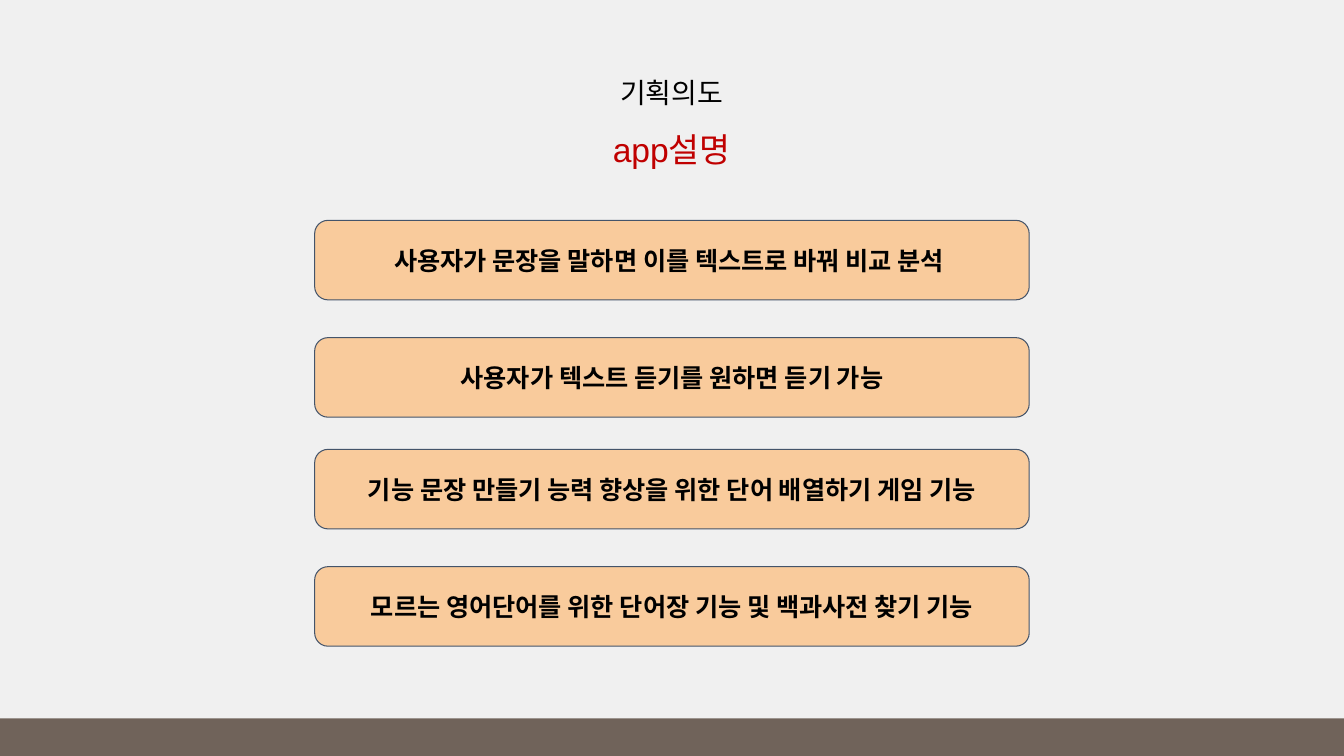
from pptx import Presentation
from pptx.dml.color import RGBColor
from pptx.enum.shapes import MSO_SHAPE
from pptx.enum.text import MSO_ANCHOR, PP_ALIGN
from pptx.util import Pt

RECTANGLE = MSO_SHAPE.RECTANGLE
ROUNDED = MSO_SHAPE.ROUNDED_RECTANGLE
MIDDLE = MSO_ANCHOR.MIDDLE
CENTER = PP_ALIGN.CENTER

BACKDROP = RGBColor(0xF0, 0xF0, 0xF0)
FOOTER = RGBColor(0x70, 0x63, 0x5A)
PEACH = RGBColor(0xF9, 0xCB, 0x9C)
OUTLINE = RGBColor(0x44, 0x54, 0x6A)
BLACK = RGBColor(0, 0, 0)
RED = RGBColor(0xC0, 0, 0)

WIDTH, HEIGHT = 960, 540
FOOTER_TOP = 513.2

FEATURES = [
    (157.4, "사용자가 문장을 말하면 이를 텍스트로 바꿔 비교 분석 "),
    (241.2, "사용자가 텍스트 듣기를 원하면 듣기 가능"),
    (321, "기능 문장 만들기 능력 향상을 위한 단어 배열하기 게임 기능"),
    (404.8, "모르는 영어단어를 위한 단어장 기능 및 백과사전 찾기 기능"),
]


def add_filled_shape(kind, left, top, width, height, color):
    shape = page.shapes.add_shape(kind, Pt(left), Pt(top), Pt(width), Pt(height))
    shape.shadow.inherit = False
    shape.fill.solid()
    shape.fill.fore_color.rgb = color
    shape.line.fill.background()
    return shape


def add_centered_text(para, text, size, color, bold=False):
    para.alignment = CENTER
    span = para.add_run()
    span.text = text
    span.font.name = "Arial"
    span.font.size = Pt(size)
    span.font.bold = bold
    span.font.color.rgb = color


deck = Presentation()
deck.slide_width, deck.slide_height = Pt(WIDTH), Pt(HEIGHT)
page = deck.slides.add_slide(deck.slide_layouts[6])

add_filled_shape(RECTANGLE, 0, 0, WIDTH, HEIGHT, BACKDROP)
add_filled_shape(RECTANGLE, 0, FOOTER_TOP, WIDTH, HEIGHT - FOOTER_TOP, FOOTER)

# Heading
heading = page.shapes.add_textbox(Pt(274.3), Pt(38.2), Pt(411), Pt(82)).text_frame
heading.word_wrap = True
heading_paras = [heading.paragraphs[0], heading.add_paragraph()]
heading_lines = [("기획의도", 20, BLACK), ("app설명", 24, RED)]
for para, (text, size, color) in zip(heading_paras, heading_lines):
    para.line_spacing = 1.5
    add_centered_text(para, text, size, color)

# Feature boxes
for top, text in FEATURES:
    box = add_filled_shape(ROUNDED, 224.8, top, 510.4, 56.8, PEACH)
    box.line.color.rgb = OUTLINE
    box.line.width = Pt(0.75)
    frame = box.text_frame
    frame.word_wrap = True
    frame.vertical_anchor = MIDDLE
    frame.margin_top = frame.margin_bottom = Pt(7.2)
    add_centered_text(frame.paragraphs[0], text, 18, BLACK, bold=True)

deck.save("out.pptx")
